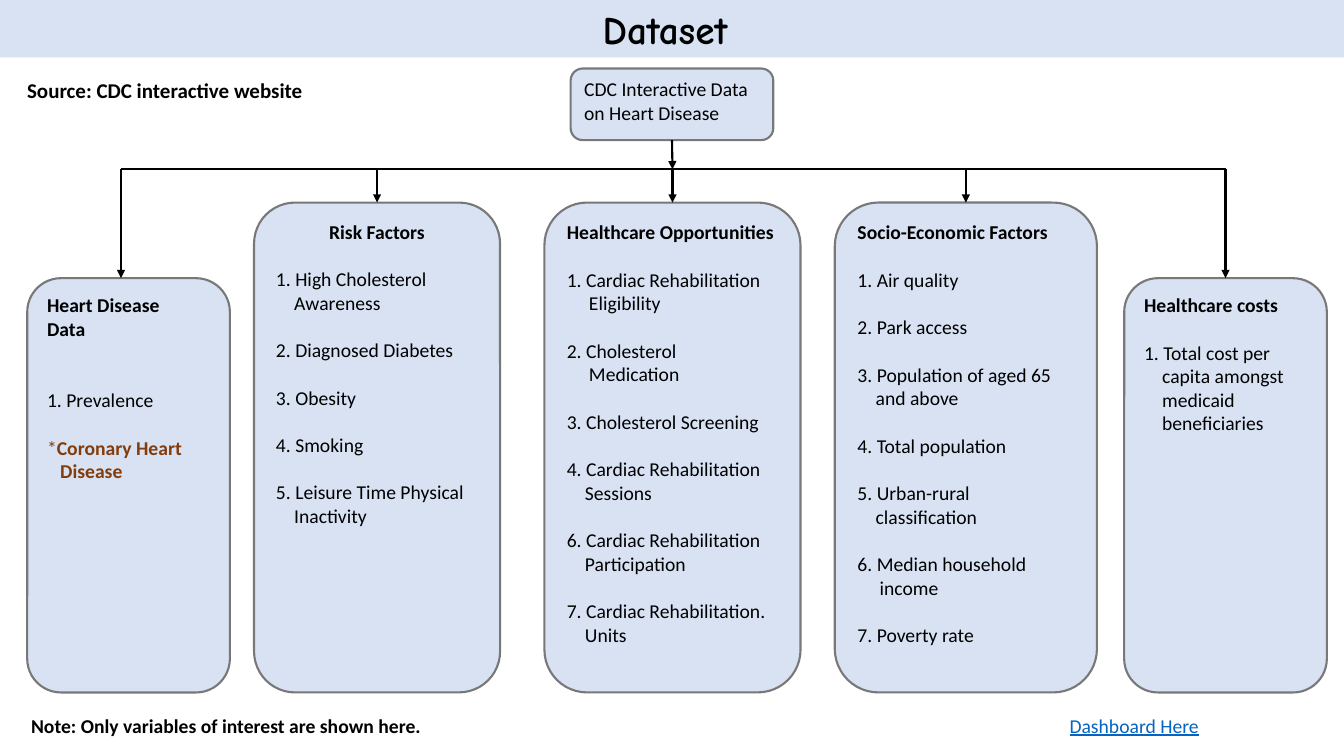
import copy
from dataclasses import dataclass, field

import pptx
import pptx.util
import pptx.dml.color
import pptx.enum.shapes
import pptx.enum.text
import pptx.oxml
import pptx.oxml.ns

Inches = pptx.util.Inches
Pt = pptx.util.Pt
SHAPE = pptx.enum.shapes.MSO_SHAPE
ALIGN = pptx.enum.text.PP_ALIGN
ANCHOR = pptx.enum.text.MSO_ANCHOR

PALE_BLUE, GREY, BLACK = "D8E2F3", "787878", "000000"
BROWN, LINK_BLUE = "833C0B", "0563C1"
BODY = {"name": "Calibri", "size": Pt(14), "bold": False}
TRUNK_Y = 1.68
BLANK_LINE = 17.1
CARD_BOTTOM = 6.87


@dataclass
class Item:
    text: str
    hang: float = 0.18
    gap: float = BLANK_LINE
    marker: str = ""
    color: str = BLACK
    bold: bool = False


@dataclass
class Card:
    left: float
    top: float
    width: float
    heading: str
    items: list[Item]
    align: ALIGN = ALIGN.LEFT
    drop_x: float | None = None  # set when the arrow lands off the card's centre


@dataclass
class Label:
    left: float
    top: float
    width: float
    height: float
    text: str
    color: str = BLACK
    fmt: dict = field(default_factory=dict)


CARDS = [
    Card(0.27, 2.76, 2.01, "Heart Disease\nData", [
        Item("1. Prevalence", gap=2 * BLANK_LINE),
        Item("Coronary Heart\nDisease", hang=0.13, marker="*", color=BROWN, bold=True),
    ], drop_x=1.2),
    Card(2.52, 2.01, 2.44, "Risk Factors", [
        Item("1. High Cholesterol\nAwareness"),
        Item("2. Diagnosed Diabetes"),
        Item("3. Obesity"),
        Item("4. Smoking"),
        Item("5. Leisure Time Physical\nInactivity"),
    ], ALIGN.CENTER),
    Card(5.4, 2.01, 2.54, "Healthcare Opportunities", [
        Item("1. Cardiac Rehabilitation\nEligibility", hang=0.22),
        Item("2. Cholesterol\nMedication", hang=0.22),
        Item("3. Cholesterol Screening"),
        Item("4. Cardiac Rehabilitation\nSessions"),
        Item("6. Cardiac Rehabilitation\nParticipation"),
        Item("7. Cardiac Rehabilitation.\nUnits"),
    ]),
    Card(8.28, 2.01, 2.6, "Socio-Economic Factors", [
        Item("1. Air quality"),
        Item("2. Park access"),
        Item("3. Population of aged 65\nand above"),
        Item("4. Total population"),
        Item("5. Urban-rural\nclassification"),
        Item("6. Median household\nincome", hang=0.22),
        Item("7. Poverty rate"),
    ]),
    Card(11.15, 2.76, 2.01, "Healthcare costs", [
        Item("1. Total cost per\ncapita amongst\nmedicaid\nbeneficiaries"),
    ]),
]

LABELS = [
    Label(0.21, 7.03, 4.96, 0.34, "Note: Only variables of interest are shown here.",
          fmt={"bold": True}),
    Label(0.17, 0.72, 2.98, 0.35, "Source: CDC interactive website",
          fmt={"bold": True, "size": Pt(15)}),
    Label(10.51, 7.03, 1.74, 0.34, "Dashboard Here", LINK_BLUE, {"underline": True}),
]


def rgb(value: str) -> pptx.dml.color.RGBColor:
    return pptx.dml.color.RGBColor.from_string(value)


def write(p, text: str, color: str = BLACK, **fmt) -> None:
    """Add formatted runs to a paragraph, one per line of text."""
    for i, line in enumerate(text.split("\n")):
        if i:
            p.add_line_break()
        r = p.add_run()
        r.text = line
        for name, value in {**BODY, **fmt}.items():
            setattr(r.font, name, value)
        r.font.color.rgb = rgb(color)
    # Line breaks need the run's size, or they stretch their line.
    for br in p._p.findall(pptx.oxml.ns.qn("a:br")):
        if len(br) == 0:
            br.append(copy.deepcopy(r._r.rPr))


def add_box(s, kind: SHAPE, left: float, top: float, width: float, height: float):
    sp = s.shapes.add_shape(kind, Inches(left), Inches(top), Inches(width), Inches(height))
    sp.shadow.inherit = False
    sp.fill.solid()
    sp.fill.fore_color.rgb = rgb(PALE_BLUE)
    if kind == SHAPE.RECTANGLE:
        sp.line.fill.background()
    else:
        sp.line.color.rgb = rgb(GREY)
        sp.line.width = Pt(1.5)
    tf = sp.text_frame
    tf.word_wrap = True
    tf.vertical_anchor = ANCHOR.TOP
    tf.paragraphs[0].alignment = ALIGN.LEFT
    return sp


def add_line(s, x1: float, y1: float, x2: float, y2: float, arrow: bool = True):
    line = s.shapes.add_connector(pptx.enum.shapes.MSO_CONNECTOR.STRAIGHT,
                                  Inches(x1), Inches(y1), Inches(x2), Inches(y2))
    line.line.color.rgb = rgb(BLACK)
    line.line.width = Pt(1.5)
    if arrow:
        tail = pptx.oxml.parse_xml(
            f'<a:tailEnd {pptx.oxml.ns.nsdecls("a")} type="triangle"/>')
        line.line._get_or_add_ln().append(tail)
    line._element.spPr.append(
        pptx.oxml.parse_xml(f'<a:effectLst {pptx.oxml.ns.nsdecls("a")}/>'))
    return line


def add_card(s, card: Card):
    sp = add_box(s, SHAPE.ROUNDED_RECTANGLE, card.left, card.top, card.width,
                 CARD_BOTTOM - card.top)
    tf = sp.text_frame
    p = tf.paragraphs[0]
    p.alignment = card.align
    write(p, card.heading, bold=True)
    for item in card.items:
        p = tf.add_paragraph()
        p.alignment = ALIGN.LEFT
        p.space_before = Pt(item.gap)
        pPr = p._p.get_or_add_pPr()
        pPr.set("marL", str(Inches(item.hang)))
        pPr.set("indent", str(-Inches(item.hang)))
        if item.marker:
            write(p, item.marker, item.color)
        write(p, item.text, item.color, bold=item.bold)
    return sp


def add_label(s, label: Label) -> None:
    sp = s.shapes.add_textbox(Inches(label.left), Inches(label.top),
                              Inches(label.width), Inches(label.height))
    sp.text_frame.word_wrap = True
    write(sp.text_frame.paragraphs[0], label.text, label.color, **label.fmt)


def main() -> None:
    prs = pptx.Presentation()
    prs.slide_width, prs.slide_height = Inches(13.33), Inches(7.5)
    s = prs.slides.add_slide(prs.slide_layouts[6])

    title = add_box(s, SHAPE.RECTANGLE, 0, 0, 13.33, 0.57).text_frame
    title.vertical_anchor = ANCHOR.MIDDLE
    title.paragraphs[0].alignment = ALIGN.CENTER
    write(title.paragraphs[0], "Dataset ", name="Comic Neue", size=Pt(28), bold=True)

    root = add_box(s, SHAPE.ROUNDED_RECTANGLE, 5.66, 0.68, 2.01, 0.71)
    write(root.text_frame.paragraphs[0], "CDC Interactive Data on Heart Disease")
    add_line(s, 6.67, 1.39, 6.67, TRUNK_Y).begin_connect(root, 2)

    drops = [card.drop_x or card.left + card.width / 2 for card in CARDS]
    add_line(s, drops[0], TRUNK_Y, drops[-1], TRUNK_Y, arrow=False)
    for card, x in zip(CARDS, drops):
        sp = add_card(s, card)
        arrow = add_line(s, x, TRUNK_Y, x, card.top)
        if card.drop_x is None:
            arrow.end_connect(sp, 0)

    for label in LABELS:
        add_label(s, label)
    prs.save("out.pptx")


if __name__ == "__main__":
    main()
